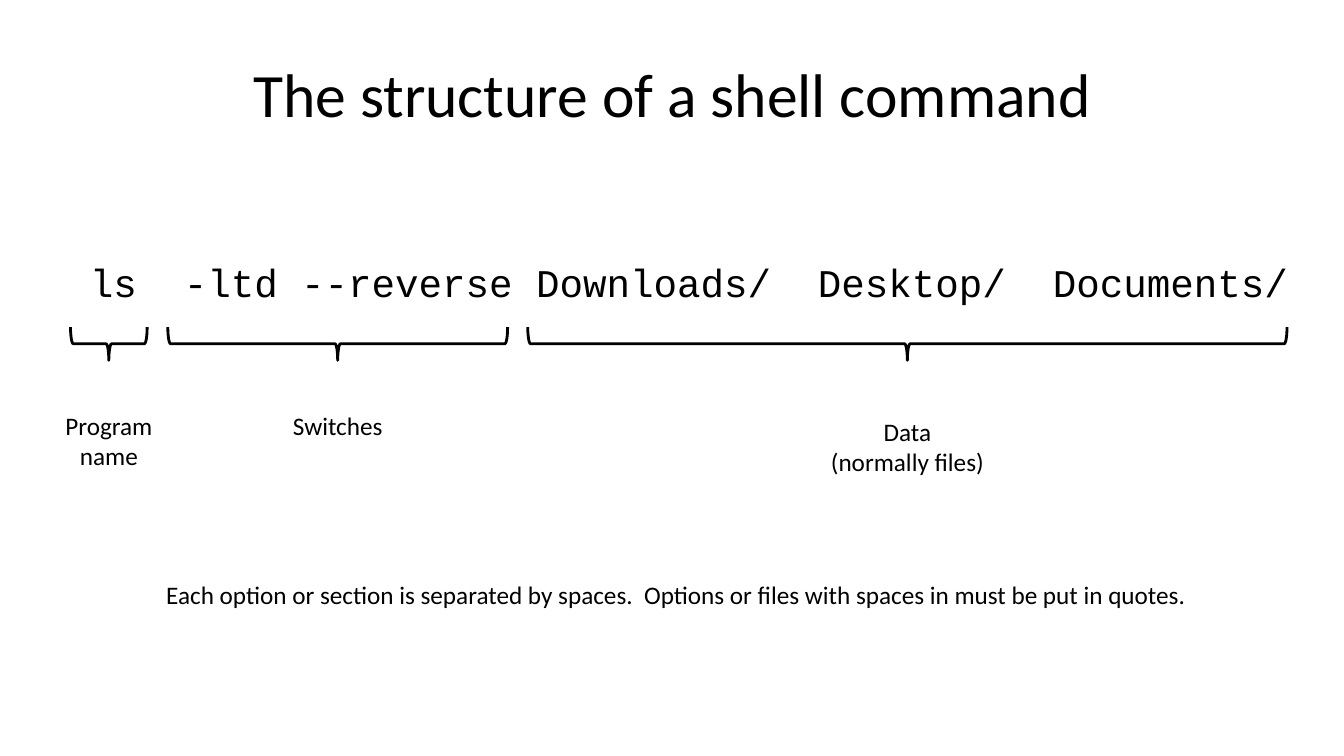
from pptx import Presentation, util as u
from pptx.dml.color import RGBColor
from pptx.enum import shapes, text

# Content
TITLE = "The structure of a shell command"
COMMAND = " ls  -ltd --reverse Downloads/  Desktop/  Documents/"
NOTE = ("Each option or section is separated by spaces.  "
        "Options or files with spaces in must be put in quotes.")
# Label lines, centre of the section, brace span, label box (top, width, height)
SECTIONS = [
    (["Program", "name"], 1.08, 0.76, (4.02, 1.79, 1.18)),
    (["Switches"], 3.35, 3.37, (4.02, 1.84, 0.67)),
    (["Data", "(normally files)"], 9.0, 7.53, (4.08, 2.9, 1.18)),
]
BRACE_MIDDLE, BRACE_DEPTH = 3.41, 0.33

THEME = {
    "ink": RGBColor(0, 0, 0),
    "body": "Calibri",
    "code": "Courier New",
    "title_size": 44,
    "code_size": 28,
    "body_size": 18,
    "line": 2,
}


def place(left, top, width, height):
    return [u.Inches(n) for n in (left, top, width, height)]


def write(frame, lines, font, size, align):
    for i, line in enumerate(lines):
        paragraph = frame.paragraphs[0] if i == 0 else frame.add_paragraph()
        paragraph.alignment = align
        run = paragraph.add_run()
        run.text = line
        run.font.name = font
        run.font.size = u.Pt(size)
        run.font.color.rgb = THEME["ink"]


def add_text(slide, box, lines, font, size, align):
    frame = slide.shapes.add_textbox(*place(*box)).text_frame
    frame.word_wrap = False
    frame.auto_size = text.MSO_AUTO_SIZE.SHAPE_TO_FIT_TEXT
    write(frame, lines, font, size, align)


def add_brace(slide, center, span):
    # The upright brace is turned a quarter, so its height becomes the span
    brace = slide.shapes.add_shape(
        shapes.MSO_SHAPE.LEFT_BRACE,
        *place(center - BRACE_DEPTH / 2, BRACE_MIDDLE - span / 2, BRACE_DEPTH, span))
    brace.rotation = 270
    brace.shadow.inherit = False
    brace.fill.background()
    brace.line.color.rgb = THEME["ink"]
    brace.line.width = u.Pt(THEME["line"])


def main():
    deck = Presentation()
    deck.slide_width, deck.slide_height = u.Inches(13.33), u.Inches(7.5)
    slide = deck.slides.add_slide(deck.slide_layouts[5])
    left, center = text.PP_ALIGN.LEFT, text.PP_ALIGN.CENTER

    # Title
    title = slide.shapes.title
    title.left, title.top, title.width, title.height = place(0.67, 0.3, 12, 1.25)
    title.text_frame.vertical_anchor = text.MSO_ANCHOR.MIDDLE
    write(title.text_frame, [TITLE], THEME["body"], THEME["title_size"], center)

    # Command line
    add_text(slide, (0.56, 2.51, 12.42, 0.57), [COMMAND],
             THEME["code"], THEME["code_size"], left)

    # Braces and their labels
    for lines, middle, span, (top, width, height) in SECTIONS:
        add_brace(slide, middle, span)
        add_text(slide, (middle - width / 2, top, width, height), lines,
                 THEME["body"], THEME["body_size"], center)

    # Note on spaces
    add_text(slide, (1.55, 5.7, 10.44, 0.4), [NOTE],
             THEME["body"], THEME["body_size"], left)

    deck.save("out.pptx")


if __name__ == "__main__":
    main()
